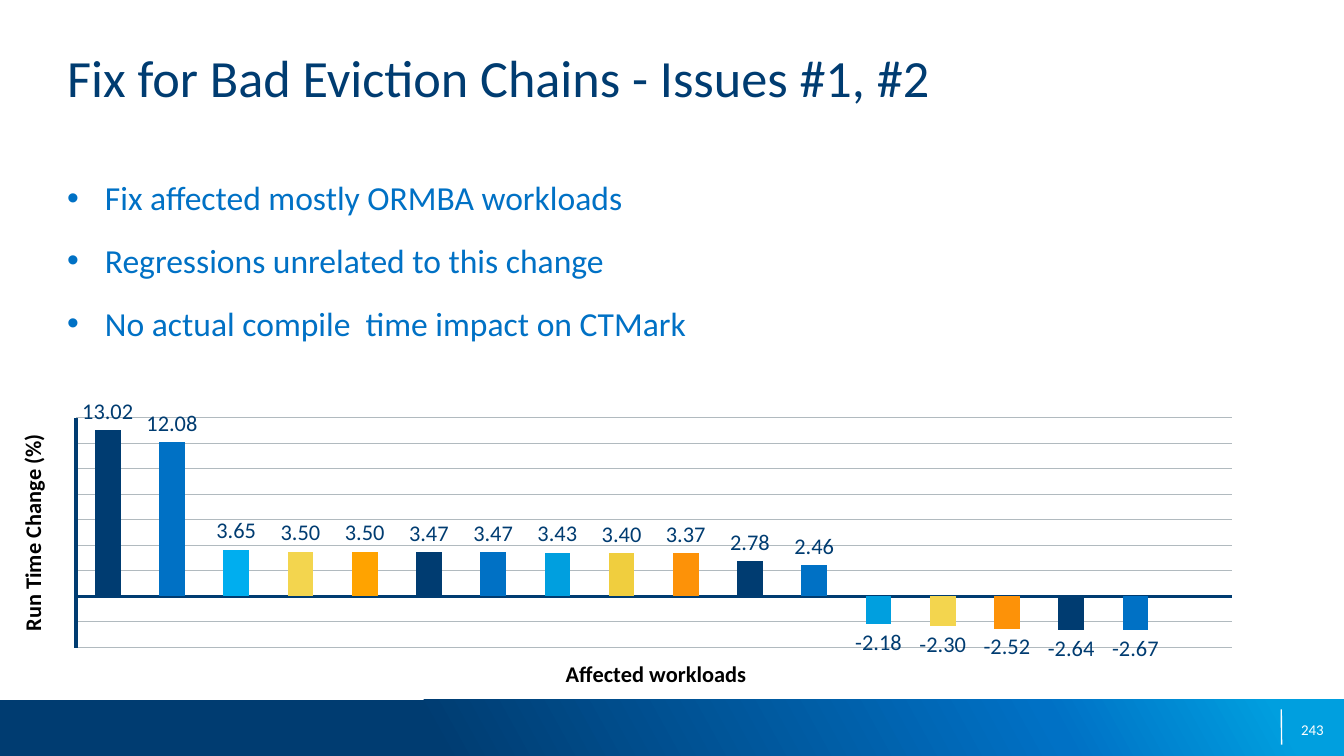
from lxml import etree
from pptx import Presentation
from pptx.chart.data import CategoryChartData
from pptx.dml.color import RGBColor
from pptx.enum.chart import XL_CHART_TYPE, XL_LABEL_POSITION, XL_TICK_LABEL_POSITION, XL_TICK_MARK
from pptx.enum.shapes import MSO_CONNECTOR, MSO_SHAPE
from pptx.enum.text import MSO_ANCHOR, PP_ALIGN
from pptx.oxml import parse_xml
from pptx.oxml.ns import nsdecls, qn
from pptx.util import Pt

COLUMN = XL_CHART_TYPE.COLUMN_CLUSTERED
OUTSIDE = XL_LABEL_POSITION.OUTSIDE_END
NO_LABEL = XL_TICK_LABEL_POSITION.NONE
NO_TICK = XL_TICK_MARK.NONE
RECT = MSO_SHAPE.RECTANGLE
STRAIGHT = MSO_CONNECTOR.STRAIGHT
TOP, MIDDLE = MSO_ANCHOR.TOP, MSO_ANCHOR.MIDDLE
LEFT, RIGHT = PP_ALIGN.LEFT, PP_ALIGN.RIGHT
FONT = "Calibri"
NAVY, BLUE, CYAN, WHITE = "003C71", "0071C5", "009FDF", "FFFFFF"

rgb = RGBColor.from_string

deck = Presentation()
deck.slide_width, deck.slide_height = Pt(720), Pt(405)
slide = deck.slides.add_slide(deck.slide_layouts[6])
shapes = slide.shapes


def add_text(box, lines, size, color, anchor=TOP, align=LEFT, bullet=False):
    frame = shapes.add_textbox(*map(Pt, box)).text_frame
    frame.word_wrap = True
    frame.vertical_anchor = anchor
    frame.margin_left = frame.margin_right = frame.margin_top = frame.margin_bottom = 0
    frame.text = "\n".join(lines)
    for i, para in enumerate(frame.paragraphs):
        para.alignment = align
        if bullet:
            props = para._p.get_or_add_pPr()
            props.set("marL", str(Pt(20.25)))
            props.set("indent", str(-Pt(20.25)))
            etree.SubElement(props, qn("a:buFont")).set("typeface", "Arial")
            etree.SubElement(props, qn("a:buChar")).set("char", "•")
            if i:
                para.space_before = Pt(12)
        for run in para.runs:
            run.font.name, run.font.size = FONT, Pt(size)
            run.font.color.rgb = rgb(color)


def set_layout(part, **values):
    layout = part.find(qn("c:layout"))
    if layout is None:
        layout = etree.Element(qn("c:layout"))
        part.insert(0, layout)
    manual = etree.SubElement(layout, qn("c:manualLayout"))
    for key, value in values.items():
        etree.SubElement(manual, qn("c:" + key)).set("val", str(value))


band = shapes.add_shape(RECT, Pt(0), Pt(375), Pt(720), Pt(30))
band.shadow.inherit = False
band.line.fill.background()
stops = "".join(
    f'<a:gs pos="{spot * 1000}"><a:srgbClr val="{color}"/></a:gs>'
    for spot, color in ((32, NAVY), (78, BLUE), (95, CYAN))
)
band._element.spPr.find(qn("a:prstGeom")).addnext(parse_xml(
    f'<a:gradFill {nsdecls("a")} rotWithShape="1"><a:gsLst>{stops}</a:gsLst>'
    f'<a:lin ang="{331 * 60000}" scaled="0"/></a:gradFill>'
))

rule = shapes.add_connector(STRAIGHT, Pt(686.4), Pt(380), Pt(686.6), Pt(399))
rule.line.color.rgb = rgb(WHITE)
rule.line.width = Pt(0.75)
etree.SubElement(rule._element.spPr, qn("a:effectLst"))

add_text((541.4, 380, 167.8, 21.6), ["243"], 8, WHITE, MIDDLE, RIGHT)
add_text((36, 95, 648, 270), [
    "Fix affected mostly ORMBA workloads",
    "Regressions unrelated to this change",
    "No actual compile  time impact on CTMark",
], 18, BLUE, bullet=True)
add_text((36, 24.5, 648, 68.4), ["Fix for Bad Eviction Chains - Issues #1, #2"], 28, NAVY)

gains = [13.02, 12.08, 3.65, 3.5, 3.5, 3.47, 3.47, 3.43, 3.4, 3.37, 2.78, 2.46,
         -2.18, -2.3, -2.52, -2.64, -2.67, None]
tints = [NAVY, BLUE, "00AEEF", "F3D54E", "FFA300",
         NAVY, BLUE, CYAN, "F0CE3E", "FD9208",
         NAVY, BLUE, CYAN, "F3D54E", "FD9208",
         NAVY, BLUE, CYAN]
data = CategoryChartData(number_format="0.00")
data.categories = [str(n) for n in range(1, 18)] + [""]
data.add_series("Series 1", gains)
chart = shapes.add_chart(COLUMN, Pt(7.2), Pt(190.4), Pt(667.4), Pt(211), data).chart
chart.has_title = chart.has_legend = False
chart.font.name, chart.font.size = FONT, Pt(18)
chart.font.color.rgb = rgb("000000")
set_layout(chart._chartSpace.chart.plotArea, layoutTarget="inner", xMode="edge", yMode="edge",
           x=0.05, y=0.158, w=0.928, h=0.584)

plot = chart.plots[0]
plot.gap_width = 150
plot.vary_by_categories = False
bars = plot.series[0]
bars.invert_if_negative = False
bars.format.fill.solid()
bars.format.fill.fore_color.rgb = rgb(BLUE)
for i, tint in enumerate(tints):
    fill = bars.points[i].format.fill
    fill.solid()
    fill.fore_color.rgb = rgb(tint)

plot.has_data_labels = True
labels = plot.data_labels
labels.show_value = True
labels.position = OUTSIDE
labels.number_format, labels.number_format_is_linked = "0.00", False
labels.font.name, labels.font.size = FONT, Pt(12)
labels.font.color.rgb = rgb(NAVY)

for axis, title, x, y in (
    (chart.category_axis, "Affected workloads", 0.44, 0.76),
    (chart.value_axis, "Run Time Change (%)", 0, 0.19),
):
    axis.tick_label_position = NO_LABEL
    axis.major_tick_mark = axis.minor_tick_mark = NO_TICK
    axis.format.line.color.rgb = rgb(NAVY)
    axis.format.line.width = Pt(2)
    frame = axis.axis_title.text_frame
    frame.text = title
    font = frame.paragraphs[0].runs[0].font
    font.name, font.size, font.bold = FONT, Pt(12), True
    font.color.rgb = rgb("000000")
    set_layout(axis.axis_title._element, xMode="edge", yMode="edge", x=x, y=y)

scale = chart.value_axis
scale.axis_title.text_frame._txBody.bodyPr.set("rot", "-5400000")
scale.minimum_scale, scale.maximum_scale, scale.major_unit = -4, 14, 2
scale.has_major_gridlines = True
grid = scale.major_gridlines.format.line
grid.color.rgb = rgb("B1BABF")
grid.width = Pt(0.5)

deck.save("out.pptx")
